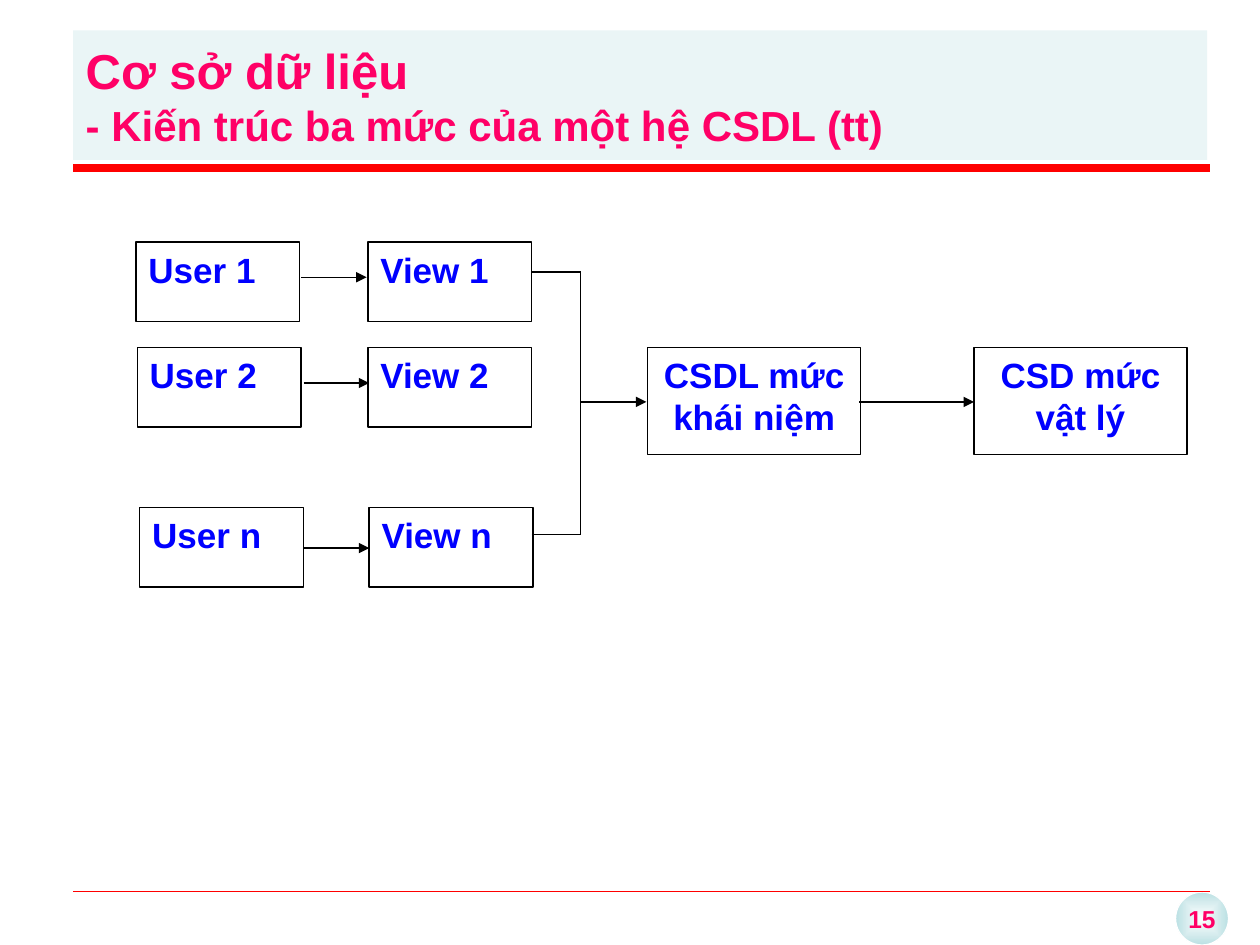
from lxml import etree
from pptx import Presentation
from pptx.dml.color import RGBColor
from pptx.enum import shapes, text
from pptx.oxml import parse_xml
from pptx.oxml.ns import nsdecls, qn
from pptx.util import Inches, Pt


def rgb(value):
    return RGBColor.from_string(value)


class Deck:
    """Slide builder that holds the shared style and the current slide."""

    font = "Arial"
    pink, blue, red, black, white, teal = (
        "FF0066", "0000FF", "FF0000", "000000", "FFFFFF", "BBE0E3")

    def __init__(self):
        self.prs = Presentation()
        self.prs.slide_width, self.prs.slide_height = Inches(10), Inches(7.5)
        self.slide = self.prs.slides.add_slide(self.prs.slide_layouts[5])

    def format(self, r, size, color):
        r.font.name, r.font.size, r.font.bold = self.font, Pt(size), True
        r.font.color.rgb = rgb(color)

    def title(self, lines, sizes, x, y, w, h):
        sp = self.slide.shapes.title
        sp.left, sp.top, sp.width, sp.height = map(Inches, (x, y, w, h))
        sp.fill.solid()
        sp.fill.fore_color.rgb = rgb(self.teal)
        color = sp.fill._xPr.find(".//" + qn("a:srgbClr"))
        etree.SubElement(color, qn("a:alpha")).set("val", "30000")
        tf = sp.text_frame
        tf.auto_size = text.MSO_AUTO_SIZE.NONE
        tf.vertical_anchor = text.MSO_ANCHOR.MIDDLE
        p = tf.paragraphs[0]
        p.text = "\v".join(lines)
        p.alignment = text.PP_ALIGN.LEFT
        for r, size in zip(p.runs, sizes):
            self.format(r, size, self.pink)

    def shape(self, kind, label, x, y, w, h, size, color, line, center, anchor):
        sp = self.slide.shapes.add_shape(kind, *map(Inches, (x, y, w, h)))
        sp.shadow.inherit = False
        sp.fill.solid()
        sp.fill.fore_color.rgb = rgb(self.white)
        sp.line.color.rgb = rgb(line)
        sp.line.width = Pt(0.75)
        tf = sp.text_frame
        tf.word_wrap = True
        tf.vertical_anchor = anchor
        p = tf.paragraphs[0]
        p.text = label
        p.alignment = text.PP_ALIGN.CENTER if center else text.PP_ALIGN.LEFT
        self.format(p.runs[0], size, color)
        return sp

    def box(self, label, x, y, w, h, center=False):
        self.shape(shapes.MSO_SHAPE.RECTANGLE, label, x, y, w, h, 20,
                   self.blue, self.black, center, text.MSO_ANCHOR.TOP)

    def page_number(self, label, x, y, d):
        sp = self.shape(shapes.MSO_SHAPE.OVAL, label, x, y, d, d, 14,
                        self.pink, self.white, True, text.MSO_ANCHOR.MIDDLE)
        sp.text_frame.word_wrap = False
        sp.fill.gradient()
        for stop, color in zip(sp.fill.gradient_stops, (self.white, self.teal)):
            stop.color.rgb = rgb(color)
        lin = sp.fill._xPr.find(".//" + qn("a:lin"))
        lin.getparent().replace(lin, parse_xml(
            f'<a:path {nsdecls("a")} path="shape"><a:fillToRect '
            'l="50000" t="50000" r="50000" b="50000"/></a:path>'))

    def line(self, x1, y1, x2, y2, color=black, width=0.75, arrow=False):
        cn = self.slide.shapes.add_connector(
            shapes.MSO_CONNECTOR.STRAIGHT, *map(Inches, (x1, y1, x2, y2)))
        cn.line.color.rgb = rgb(color)
        cn.line.width = Pt(width)
        if arrow:
            ln = cn.line._get_or_add_ln()
            etree.SubElement(ln, qn("a:tailEnd")).set("type", "triangle")
        etree.SubElement(cn._element.spPr, qn("a:effectLst"))

    def arrow(self, x1, x2, y):
        self.line(x1, y, x2, y, arrow=True)


deck = Deck()
deck.page_number("15", 9.33, 7.08, 0.42)
for y, width in ((7.07, 0.25), (1.33, 4.5)):
    deck.line(0.58, y, 9.6, y, deck.red, width)
deck.title(["Cơ sở dữ liệu\u0323".replace("ệu\u0323", "ê\u0323u"),
            "- Kiến trúc ba mức của một hệ CSDL (tt)"],
           (28, 24), 0.58, 0.24, 9, 1.03)

rows = (("1", 1.08, 2.92, 1.92, 2.39, 2.2),
        ("2", 1.09, 2.92, 2.76, 2.41, 3.04),
        ("n", 1.11, 2.93, 4.03, 2.41, 4.35))
for name, user_x, view_x, y, arrow_x, arrow_y in rows:
    deck.box(f"User {name}", user_x, y, 1.3, 0.63)
    deck.box(f"View {name}", view_x, y, 1.3, 0.63)
    deck.arrow(arrow_x, arrow_x + 0.52, arrow_y)

for label, x in (("CSDL mức khái niệm", 5.14), ("CSD mức vật lý", 7.73)):
    deck.box(label, x, 2.76, 1.69, 0.85, center=True)

bus_x, bus_top, bus_bottom = 4.61, 2.16, 4.24
deck.line(bus_x, bus_top, bus_x, bus_bottom)
for y in (bus_top, bus_bottom):
    deck.line(4.22, y, bus_x, y)
deck.arrow(bus_x, 5.13, 3.19)
deck.arrow(6.82, 7.73, 3.19)

deck.prs.save("out.pptx")
